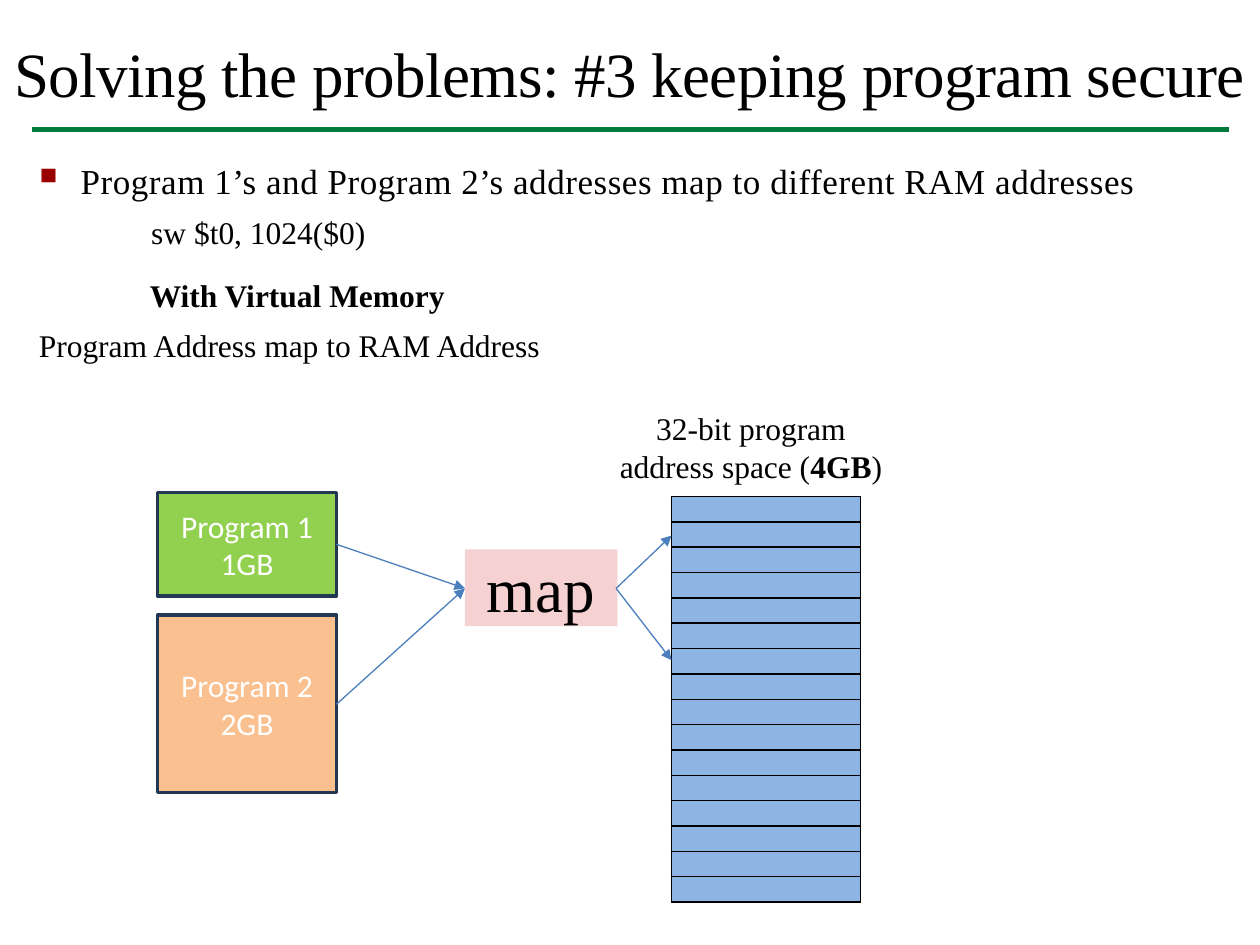
from lxml import etree
from pptx import Presentation
from pptx.dml.color import RGBColor
from pptx.enum.shapes import MSO_CONNECTOR, MSO_SHAPE
from pptx.enum.text import MSO_ANCHOR, PP_ALIGN
from pptx.oxml.ns import qn
from pptx.util import Inches, Pt

CENTER, LEFT = PP_ALIGN.CENTER, PP_ALIGN.LEFT
MIDDLE = MSO_ANCHOR.MIDDLE
RECTANGLE = MSO_SHAPE.RECTANGLE
STRAIGHT = MSO_CONNECTOR.STRAIGHT
SERIF = "Times New Roman"
hex_color = RGBColor.from_string

prs = Presentation()
prs.slide_width, prs.slide_height = Inches(10), Inches(7.5)
slide = prs.slides.add_slide(prs.slide_layouts[6])
shapes = slide.shapes


def write(holder, lines, size, align=LEFT, font=SERIF, color="000000", margins=(0.1, 0.05, 0.1, 0.05)):
    frame = holder.text_frame
    frame.word_wrap = True
    frame.margin_left, frame.margin_top, frame.margin_right, frame.margin_bottom = map(Inches, margins)
    for index, line in enumerate(lines):
        paragraph = frame.add_paragraph() if index else frame.paragraphs[0]
        paragraph.alignment = align
        paragraph.font.name = font
        paragraph.font.size = Pt(size)
        paragraph.font.color.rgb = hex_color(color)
        paragraph.add_run().text = line
    return frame.paragraphs[0]


def connect(start, end, color, width, arrow=True):
    line = shapes.add_connector(STRAIGHT, *map(Inches, start + end))
    line.line.color.rgb = hex_color(color)
    line.line.width = Pt(width)
    if arrow:
        etree.SubElement(line.line._get_or_add_ln(), qn("a:tailEnd"), type="triangle")
    etree.SubElement(line._element.spPr, qn("a:effectLst"))


title_box = shapes.add_textbox(Inches(0), Inches(0.25), Inches(10), Inches(0.62))
title = write(title_box, ["Solving the problems: #3 keeping program secure"], 36, CENTER,
              margins=(0, 0.02, 0, 0))
title.runs[0]._r.get_or_add_rPr().set("spc", "-30")

connect((0.25, 1.03), (9.75, 1.03), "007A3A", 3, arrow=False)

claim_box = shapes.add_textbox(Inches(0.25), Inches(1.17), Inches(9.42), Inches(0.4))
claim = claim_box.text_frame.paragraphs[0]
claim_props = claim._p.get_or_add_pPr()
claim_props.set("marL", str(Inches(0.39)))
claim_props.set("indent", str(Inches(-0.38)))
bullet_color = etree.SubElement(claim_props, qn("a:buClr"))
etree.SubElement(bullet_color, qn("a:srgbClr"), val="990000")
etree.SubElement(claim_props, qn("a:buSzPct"), val="120000")
etree.SubElement(claim_props, qn("a:buChar"), char="▪")
write(claim_box, ["Program 1’s and Program 2’s addresses map to different RAM addresses"], 20,
      margins=(0, 0.04, 0, 0))
claim.line_spacing = Pt(28)
claim.runs[0]._r.get_or_add_rPr().set("spc", "30")

memory_rows = 16
memory = shapes.add_table(memory_rows, 1, Inches(5.33), Inches(3.94), Inches(1.5), Inches(3.22)).table
for row in memory.rows:
    cell = row.cells[0]
    cell.margin_top = cell.margin_bottom = 0
    cell.text_frame.paragraphs[0]._p.get_or_add_endParaRPr().set("sz", "800")
    cell_props = cell._tc.get_or_add_tcPr()
    for side in ("a:lnL", "a:lnR", "a:lnT", "a:lnB"):
        border = etree.SubElement(cell_props, qn(side), w=str(Pt(1)))
        border_fill = etree.SubElement(border, qn("a:solidFill"))
        etree.SubElement(border_fill, qn("a:srgbClr"), val="000000")
    cell.fill.solid()
    cell.fill.fore_color.rgb = hex_color("8EB4E3")

space_box = shapes.add_textbox(Inches(4.75), Inches(3.2), Inches(2.42), Inches(0.71))
space = write(space_box, ["32-bit program address space ("], 18, CENTER)
capacity = space.add_run()
capacity.text = "4GB"
capacity.font.bold = True
space.add_run().text = ")"

blocks = [
    (1.25, 3.91, 1.42, 0.82, "92D050", "233953", ["Program 1", "1GB"], 18, "Calibri", "FFFFFF", 0.05),
    (1.25, 4.88, 1.42, 1.41, "FAC090", "233953", ["Program 2", "2GB"], 18, "Calibri", "FFFFFF", 0.05),
    (3.69, 4.36, 1.21, 0.61, "F5D2D1", None, ["map"], 36, SERIF, "000000", 0),
]
for left, top, width, height, fill, outline, lines, size, font, color, margin in blocks:
    block = shapes.add_shape(RECTANGLE, *map(Inches, (left, top, width, height)))
    block.shadow.inherit = False
    block.fill.solid()
    block.fill.fore_color.rgb = hex_color(fill)
    if outline:
        block.line.color.rgb = hex_color(outline)
        block.line.width = Pt(2)
    else:
        block.line.fill.background()
    write(block, lines, size, CENTER, font, color, (margin,) * 4)
    block.text_frame.vertical_anchor = MIDDLE

map_entry, map_exit = (3.69, 4.67), (4.89, 4.67)
for start, end in [((2.67, 4.32), map_entry), ((2.67, 5.59), map_entry),
                   (map_exit, (5.33, 4.25)), (map_exit, (5.33, 5.24))]:
    connect(start, end, "4B7EBC", 0.75)

heading_box = shapes.add_textbox(Inches(1.09), Inches(2.14), Inches(2.92), Inches(0.4))
write(heading_box, ["With Virtual Memory"], 18).font.bold = True

caption_box = shapes.add_textbox(Inches(0.21), Inches(2.54), Inches(4.33), Inches(0.4))
write(caption_box, ["Program Address map to RAM Address"], 18)

instruction_box = shapes.add_textbox(Inches(1.09), Inches(1.55), Inches(5.19), Inches(0.45))
instruction = write(instruction_box, ["sw $t0, 1024($0)"], 18, margins=(0.11, 0.05, 0.1, 0.05))
instruction.line_spacing = Pt(28)

prs.save("out.pptx")
